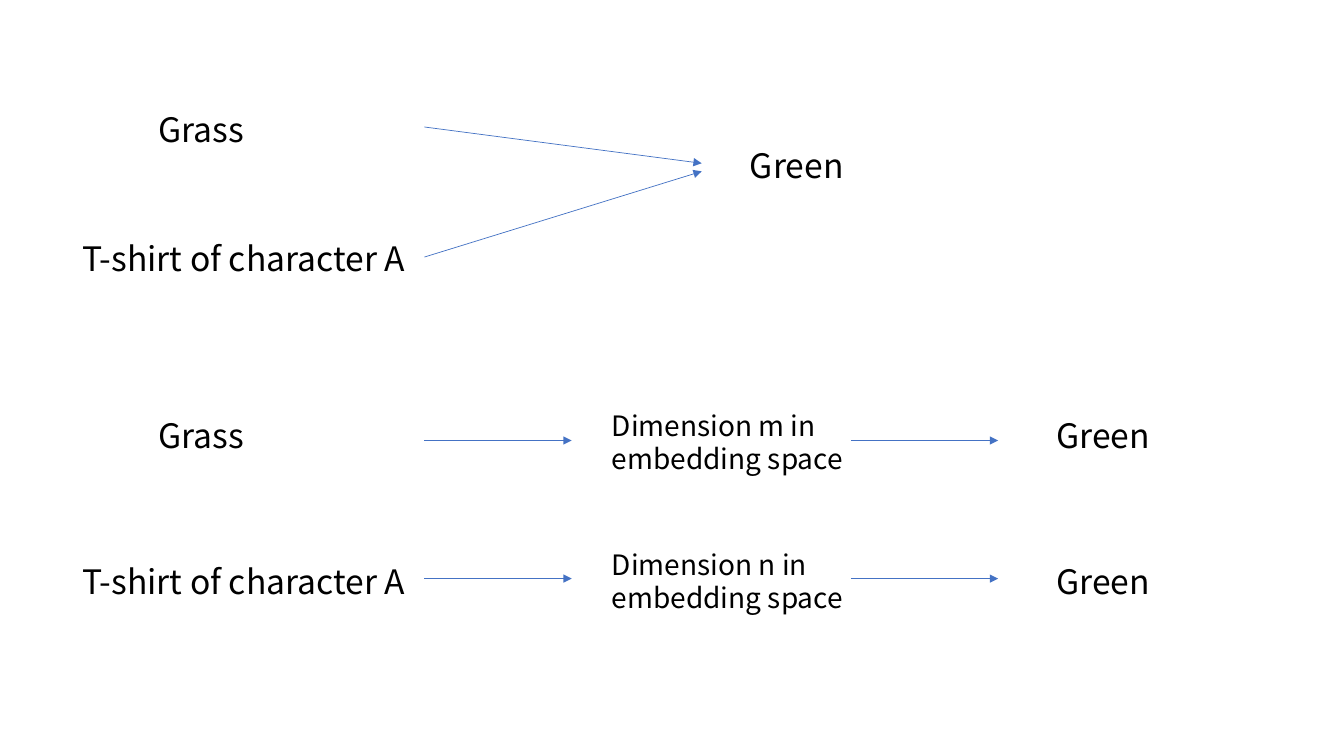
from lxml import etree
from pptx import Presentation
from pptx.dml.color import RGBColor
from pptx.enum.shapes import MSO_CONNECTOR
from pptx.enum.text import MSO_AUTO_SIZE
from pptx.oxml.ns import qn
from pptx.util import Inches, Pt

STRAIGHT = MSO_CONNECTOR.STRAIGHT
GROW_TO_TEXT = MSO_AUTO_SIZE.SHAPE_TO_FIT_TEXT
FONT = "Noto Sans CJK SC"
INK = "000000"
ARROW_BLUE = "4472C4"
GRASS = "Grass"
SHIRT = "T-shirt of character A"
GREEN = "Green"
ARROW_START = 4.21
ARROW_LENGTH = 1.46


def rgb(value):
    """Turn a hex string into a colour."""
    return RGBColor.from_string(value)


def add_label(shapes, text, left, top, width=2, height=0.5, size=24):
    """Add a plain black label."""
    label = shapes.add_textbox(Inches(left), Inches(top), Inches(width), Inches(height))
    frame = label.text_frame
    frame.word_wrap = True
    frame.auto_size = GROW_TO_TEXT
    frame.margin_top = Inches(0.07)
    frame.margin_bottom = Inches(0.03)
    paragraph = frame.paragraphs[0]
    paragraph.text = text
    paragraph.line_spacing = Pt(size * 1.2)
    paragraph.font.name = FONT
    paragraph.font.size = Pt(size)
    paragraph.font.color.rgb = rgb(INK)


def add_arrow(shapes, x1, y1, x2, y2):
    """Add a thin blue line with an arrowhead at its end."""
    arrow = shapes.add_connector(STRAIGHT, Inches(x1), Inches(y1), Inches(x2), Inches(y2))
    arrow.line.color.rgb = rgb(ARROW_BLUE)
    arrow.line.width = Pt(0.5)
    etree.SubElement(arrow.line._get_or_add_ln(), qn("a:tailEnd"), type="triangle")
    etree.SubElement(arrow._element.spPr, qn("a:effectLst"))


def add_sources(shapes, grass_top, shirt_top):
    """Add the two objects on the left that share a colour."""
    add_label(shapes, GRASS, 1.47, grass_top)
    add_label(shapes, SHIRT, 0.72, shirt_top, width=3.49)


def add_shared_mapping(shapes):
    """Add both objects pointing to one colour."""
    add_sources(shapes, 1.01, 2.29)
    for start_y, end_y in ((1.26, 1.62), (2.55, 1.7)):
        add_arrow(shapes, ARROW_START, start_y, 6.96, end_y)
    add_label(shapes, GREEN, 7.34, 1.37)


def add_embedded_mapping(shapes):
    """Add each object reaching its colour through its own dimension."""
    add_sources(shapes, 4.05, 5.49)
    rows = (("m", 4.05, 3.98, 4.37), ("n", 5.49, 5.36, 5.74))
    for dimension, green_top, dimension_top, arrow_y in rows:
        for start in (ARROW_START, 8.44):
            add_arrow(shapes, start, arrow_y, start + ARROW_LENGTH, arrow_y)
        add_label(shapes, f"Dimension {dimension} in embedding space",
                  5.97, dimension_top, width=3.21, height=0.77, size=20)
        add_label(shapes, GREEN, 10.38, green_top)


def main():
    """Build the slide and save it."""
    deck = Presentation()
    deck.slide_width = Inches(13.33)
    deck.slide_height = Inches(7.5)
    slide = deck.slides.add_slide(deck.slide_layouts[6])
    add_shared_mapping(slide.shapes)
    add_embedded_mapping(slide.shapes.add_group_shape().shapes)
    deck.save("out.pptx")


if __name__ == "__main__":
    main()
